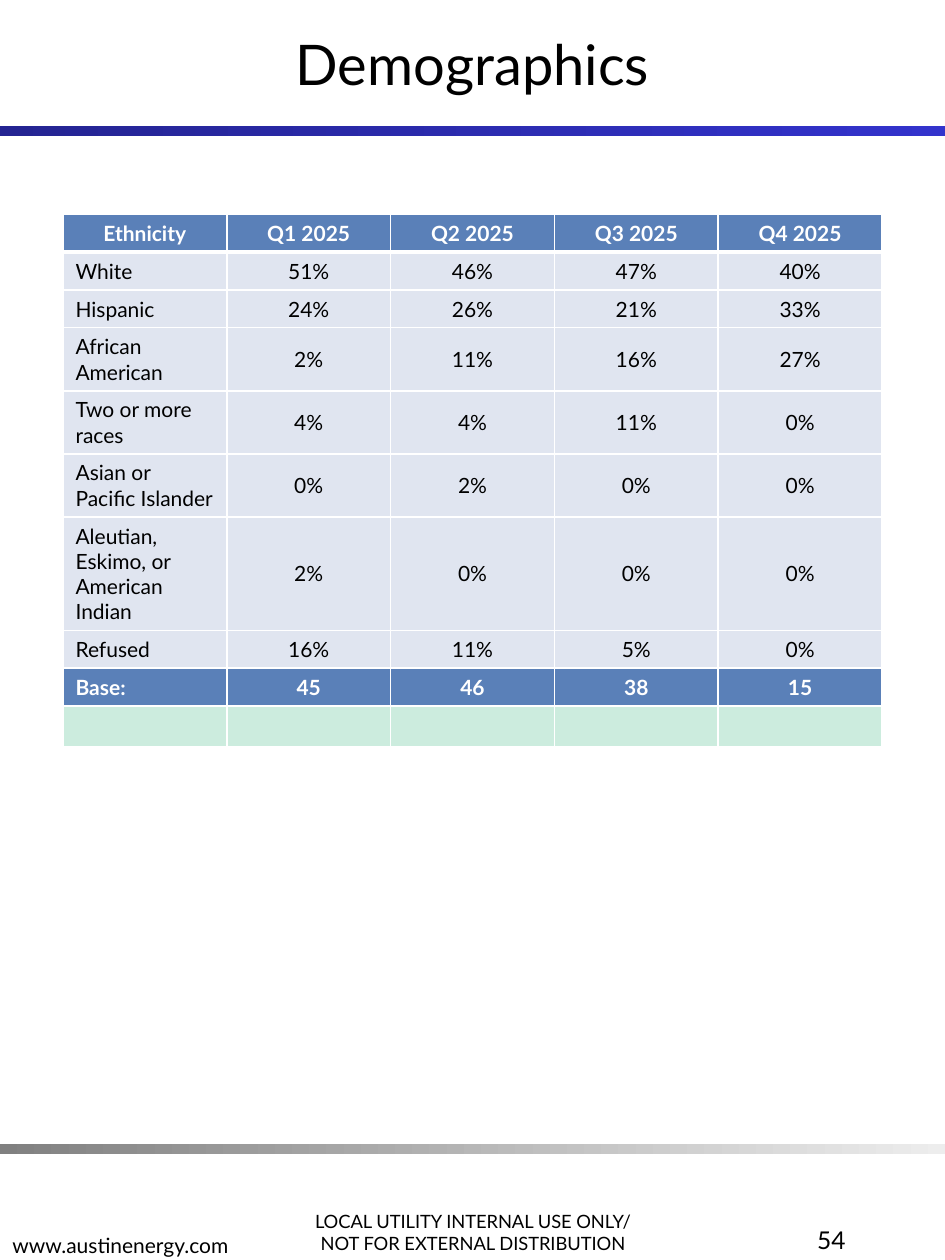
from dataclasses import dataclass

from lxml.etree import SubElement
from pptx import Presentation
from pptx.dml.color import RGBColor
from pptx.enum.shapes import MSO_SHAPE
from pptx.enum.text import MSO_ANCHOR, PP_ALIGN
from pptx.oxml.ns import qn
from pptx.util import Inches, Pt

WIDTH, HEIGHT = 7.5, 10
FONT = "Lato"
COLORS = {
    "text": "000000", "white": "FFFFFF", "navy": "242492", "blue": "3333CC",
    "gray": "808080", "silver": "EDEDED",
    "heading": "5A80B8", "body": "E0E5F0", "empty": "CCECDE",
}
TABLE_LEFT, TABLE_TOP, COLUMN_WIDTH, ROW_HEIGHT = 0.5, 1.7, 1.3, 0.25
THIN, THICK = 1, 3
EMPTY_SIZE = 13.5
ROWS = [
    ("Ethnicity", "Q1 2025", "Q2 2025", "Q3 2025", "Q4 2025"),
    ("White", "51%", "46%", "47%", "40%"),
    ("Hispanic", "24%", "26%", "21%", "33%"),
    ("African American", "2%", "11%", "16%", "27%"),
    ("Two or more races", "4%", "4%", "11%", "0%"),
    ("Asian or Pacific Islander", "0%", "2%", "0%", "0%"),
    ("Aleutian, Eskimo, or American Indian", "2%", "0%", "0%", "0%"),
    ("Refused", "16%", "11%", "5%", "0%"),
    ("Base:", "45", "46", "38", "15"),
    ("", "", "", "", ""),
]
HEADER_ROW, BASE_ROW = 0, 8


@dataclass
class Band:
    """A full-width gradient rule; top is a share of the slide height."""
    top: float
    start: str
    end: str


@dataclass
class Label:
    """A text box; box holds left, top, width and height as slide shares."""
    lines: tuple[str, ...]
    box: tuple[float, float, float, float]
    size: float
    alignment: PP_ALIGN
    anchor: MSO_ANCHOR


BANDS = [Band(0.1, "navy", "blue"), Band(0.908, "gray", "silver")]
LABELS = [
    Label(("LOCAL UTILITY INTERNAL USE ONLY/", "NOT FOR EXTERNAL DISTRIBUTION"),
          (2.16 / WIDTH, 0.933, 3.19 / WIDTH, 0.067), 10.5,
          PP_ALIGN.CENTER, MSO_ANCHOR.BOTTOM),
    Label(("www.austinenergy.com",), (0, 0.936, 3.19 / WIDTH, 0.067), 12,
          PP_ALIGN.LEFT, MSO_ANCHOR.BOTTOM),
    Label(("Demographics",), (0, 0, 1, 0.1), 32,
          PP_ALIGN.CENTER, MSO_ANCHOR.MIDDLE),
    Label(("54",), (0.7, 0.967, 1.56 / WIDTH, 0.067), 14,
          PP_ALIGN.RIGHT, MSO_ANCHOR.TOP),
]


def rgb(name: str) -> RGBColor:
    return RGBColor.from_string(COLORS[name])


def write(paragraph, text: str, size: float, color: str,
          alignment: PP_ALIGN, bold: bool = False) -> None:
    paragraph.alignment = alignment
    run = paragraph.add_run()
    run.text = text
    formats = {"name": FONT, "size": Pt(size), "bold": bold}
    for attribute, value in formats.items():
        setattr(run.font, attribute, value)
    run.font.color.rgb = rgb(color)


def draw_band(slide, band: Band) -> None:
    shape = slide.shapes.add_shape(
        MSO_SHAPE.RECTANGLE, 0, Inches(band.top * HEIGHT),
        Inches(WIDTH), Inches(0.08))
    shape.shadow.inherit = False
    shape.line.fill.background()
    shape.fill.gradient()
    shape.fill.gradient_angle = 0
    for stop, color in zip(shape.fill.gradient_stops, (band.start, band.end)):
        stop.color.rgb = rgb(color)


def draw_label(slide, label: Label) -> None:
    left, top, width, height = label.box
    shape = slide.shapes.add_textbox(
        Inches(left * WIDTH), Inches(top * HEIGHT),
        Inches(width * WIDTH), Inches(height * HEIGHT))
    frame = shape.text_frame
    formats = {"word_wrap": True, "vertical_anchor": label.anchor}
    for attribute, value in formats.items():
        setattr(frame, attribute, value)
    for index, line in enumerate(label.lines):
        paragraph = frame.add_paragraph() if index else frame.paragraphs[0]
        write(paragraph, line, label.size, "text", label.alignment)


def set_borders(cell, row: int) -> None:
    """Draw white cell borders, thick between the header and the body."""
    properties = cell._tc.get_or_add_tcPr()
    widths = {
        "a:lnL": THIN, "a:lnR": THIN,
        "a:lnT": THICK if row == HEADER_ROW + 1 else THIN,
        "a:lnB": THICK if row == HEADER_ROW else THIN,
    }
    for tag, width in widths.items():
        line = SubElement(properties, qn(tag), w=str(Pt(width)))
        fill = SubElement(line, qn("a:solidFill"))
        SubElement(fill, qn("a:srgbClr"), val=COLORS["white"])


def fill_cell(cell, text: str, row: int, column: int) -> None:
    heading = row in (HEADER_ROW, BASE_ROW)
    set_borders(cell, row)
    cell.vertical_anchor = MSO_ANCHOR.MIDDLE
    cell.fill.solid()
    cell.fill.fore_color.rgb = rgb(
        "heading" if heading else "body" if text else "empty")
    paragraph = cell.text_frame.paragraphs[0]
    if text:
        left_aligned = column == 0 and row != HEADER_ROW
        write(paragraph, text, 12, "white" if heading else "text",
              PP_ALIGN.LEFT if left_aligned else PP_ALIGN.CENTER, heading)
    else:
        SubElement(paragraph._p, qn("a:endParaRPr"), sz=str(int(EMPTY_SIZE * 100)))


def draw_table(slide) -> None:
    column_count = len(ROWS[0])
    table = slide.shapes.add_table(
        len(ROWS), column_count, Inches(TABLE_LEFT), Inches(TABLE_TOP),
        Inches(COLUMN_WIDTH * column_count), Inches(ROW_HEIGHT * len(ROWS))).table
    table.horz_banding = False
    for row, texts in enumerate(ROWS):
        for column, text in enumerate(texts):
            fill_cell(table.cell(row, column), text, row, column)


def main() -> None:
    presentation = Presentation()
    presentation.slide_width = Inches(WIDTH)
    presentation.slide_height = Inches(HEIGHT)
    slide = presentation.slides.add_slide(presentation.slide_layouts[6])
    for band in BANDS:
        draw_band(slide, band)
    for label in LABELS:
        draw_label(slide, label)
    draw_table(slide)
    presentation.save("out.pptx")


if __name__ == "__main__":
    main()
